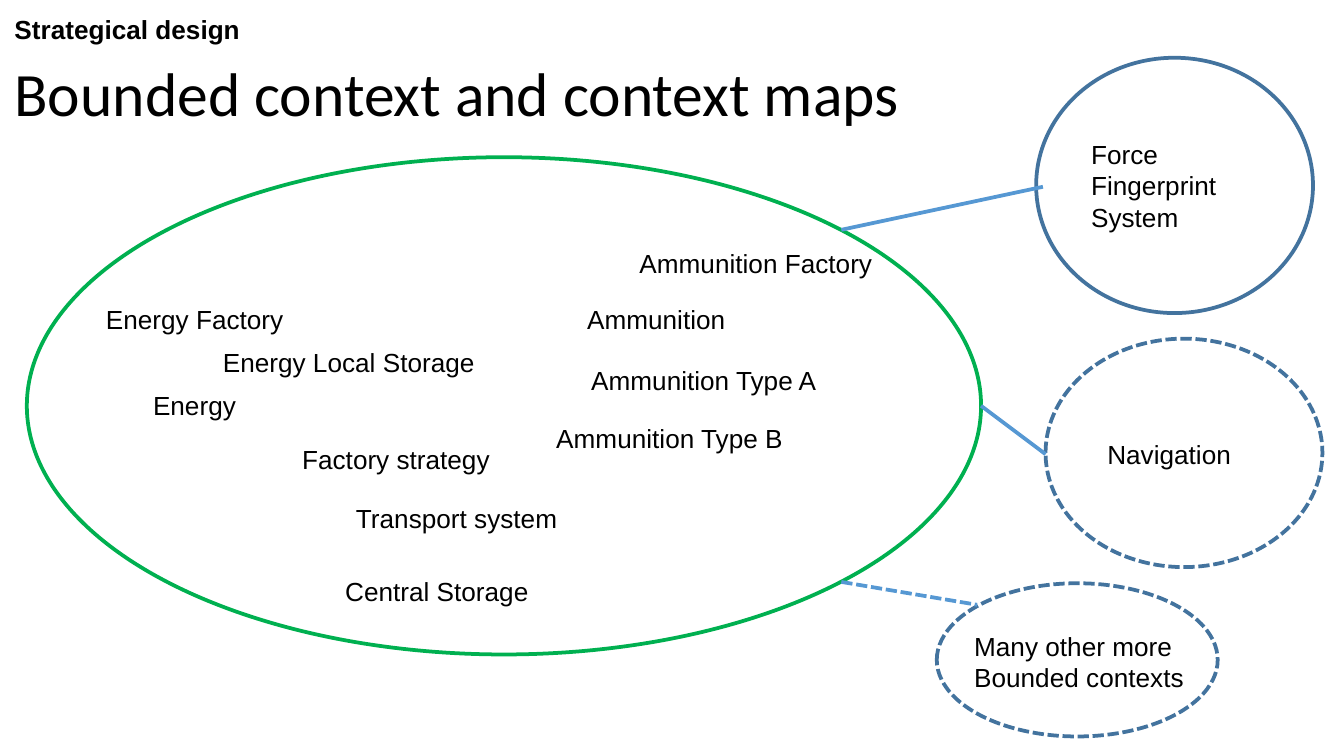
from dataclasses import dataclass

from lxml.etree import SubElement
from pptx import Presentation
from pptx.dml.color import RGBColor
from pptx.enum.dml import MSO_LINE
from pptx.enum.shapes import MSO_CONNECTOR, MSO_SHAPE
from pptx.enum.text import MSO_ANCHOR, MSO_AUTO_SIZE
from pptx.oxml.ns import qn
from pptx.util import Pt


@dataclass(frozen=True)
class Theme:
    text: RGBColor = RGBColor(0x00, 0x00, 0x00)
    core: RGBColor = RGBColor(0x00, 0xB0, 0x50)
    neighbour: RGBColor = RGBColor(0x43, 0x73, 0x9E)
    link: RGBColor = RGBColor(0x56, 0x98, 0xD3)
    title_font: str = "Calibri"
    body_font: str = "Arial"
    title_size: int = 33
    body_size: int = 14
    stroke: int = 2


theme = Theme()
PX = 9144  # 100 px to the inch


def style_line(line, color, dashed):
    line.color.rgb = color
    line.width = Pt(theme.stroke)
    if dashed:
        line.dash_style = MSO_LINE.SQUARE_DOT


def add_text(slide, left, top, width, height, lines, wrap=False,
             font=theme.body_font, size=theme.body_size, bold=False):
    box = slide.shapes.add_textbox(left * PX, top * PX, width * PX, height * PX)
    frame = box.text_frame
    frame.word_wrap = wrap
    frame.auto_size = MSO_AUTO_SIZE.SHAPE_TO_FIT_TEXT
    for index, line in enumerate(lines):
        para = frame.add_paragraph() if index else frame.paragraphs[0]
        span = para.add_run()
        span.text = line
        span.font.name = font
        span.font.size = Pt(size)
        span.font.bold = bold
        span.font.color.rgb = theme.text
    return frame


# Widescreen 16:9 page
deck = Presentation()
deck.slide_width = 1000 * PX
deck.slide_height = 1000 * PX * 9 // 16
page = deck.slides.add_slide(deck.slide_layouts[6])

# Heading
title = add_text(page, 1, 36, 862, 71, ["Bounded context and context maps"],
                 wrap=True, font=theme.title_font, size=theme.title_size)
title.auto_size = MSO_AUTO_SIZE.NONE
title.vertical_anchor = MSO_ANCHOR.MIDDLE
title.margin_top = title.margin_bottom = 10 * PX
title.paragraphs[0].line_spacing = 0.9
add_text(page, 1, 5, 254, 34, ["Strategical design"], wrap=True, bold=True)

# Bounded contexts: left, top, width, height, color, dashed
contexts = [
    (20, 117, 710, 370, theme.core, False),
    (771, 43, 206, 190, theme.neighbour, False),
    (778, 252, 206, 170, theme.neighbour, True),
    (697, 434, 209, 114, theme.neighbour, True),
]
for left, top, width, height, color, dashed in contexts:
    ellipse = page.shapes.add_shape(
        MSO_SHAPE.OVAL, left * PX, top * PX, width * PX, height * PX)
    ellipse.shadow.inherit = False
    ellipse.fill.background()
    style_line(ellipse.line, color, dashed)

# Terms inside the core context: left, top, width, text
terms = [
    (69, 221, 153, "Energy Factory"),
    (104, 285, 82, "Energy"),
    (156, 253, 208, "Energy Local Storage"),
    (215, 325, 160, "Factory strategy"),
    (255, 369, 171, "Transport system"),
    (247, 423, 157, "Central Storage"),
    (466, 179, 194, "Ammunition Factory"),
    (427, 221, 124, "Ammunition"),
    (430, 266, 191, "Ammunition Type A"),
    (404, 309, 191, "Ammunition Type B"),
]
for left, top, width, term in terms:
    add_text(page, left, top, width, 34, [term])

# Names of the neighbouring contexts
add_text(page, 802, 98, 149, 81, ["Force Fingerprint", "System"], wrap=True)
add_text(page, 814, 321, 149, 34, ["Navigation"], wrap=True)
add_text(page, 715, 464, 177, 57, ["Many other more", "Bounded contexts"])

# Links from the core to its neighbours: start, end, dashed
links = [
    ((626, 171), (776, 139), False),
    ((730, 302), (778, 338), False),
    ((626, 433), (727, 450), True),
]
for (x1, y1), (x2, y2), dashed in links:
    link = page.shapes.add_connector(
        MSO_CONNECTOR.STRAIGHT, x1 * PX, y1 * PX, x2 * PX, y2 * PX)
    style_line(link.line, theme.link, dashed)
    SubElement(link._element.spPr, qn("a:effectLst"))

deck.save("out.pptx")
